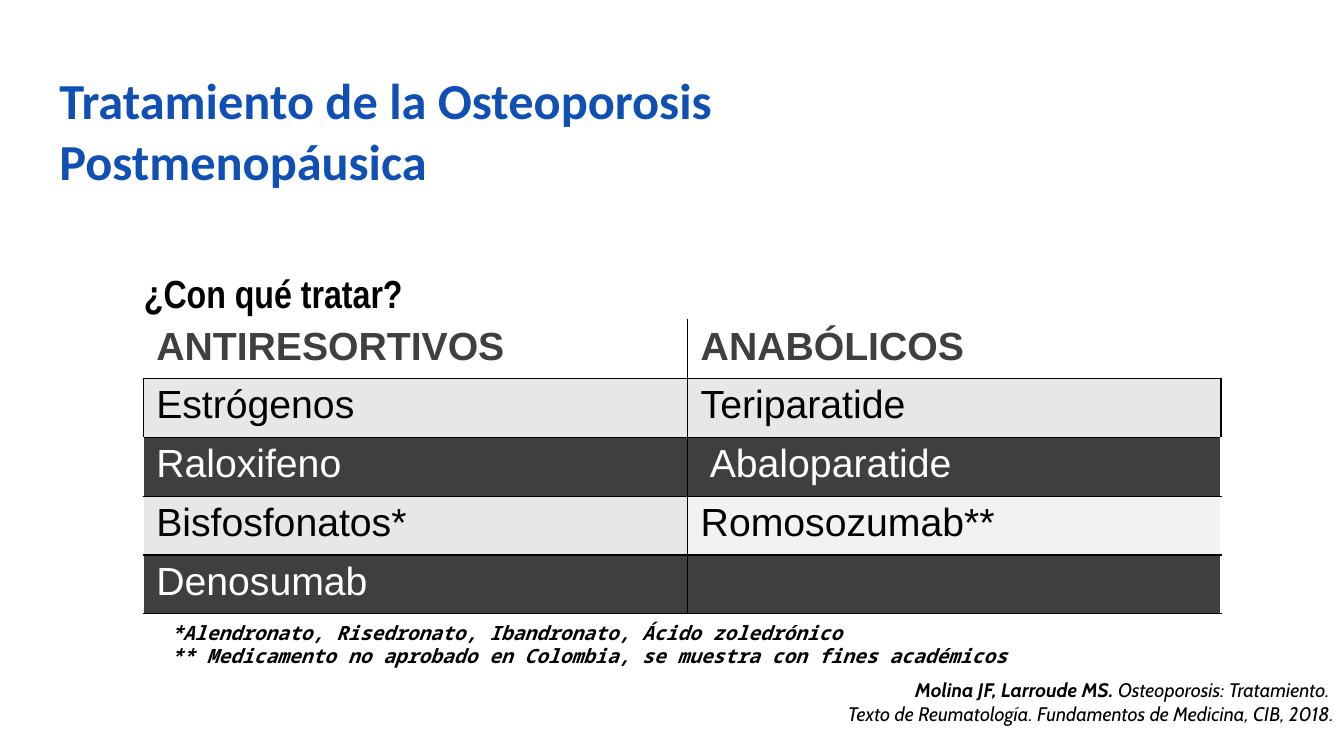
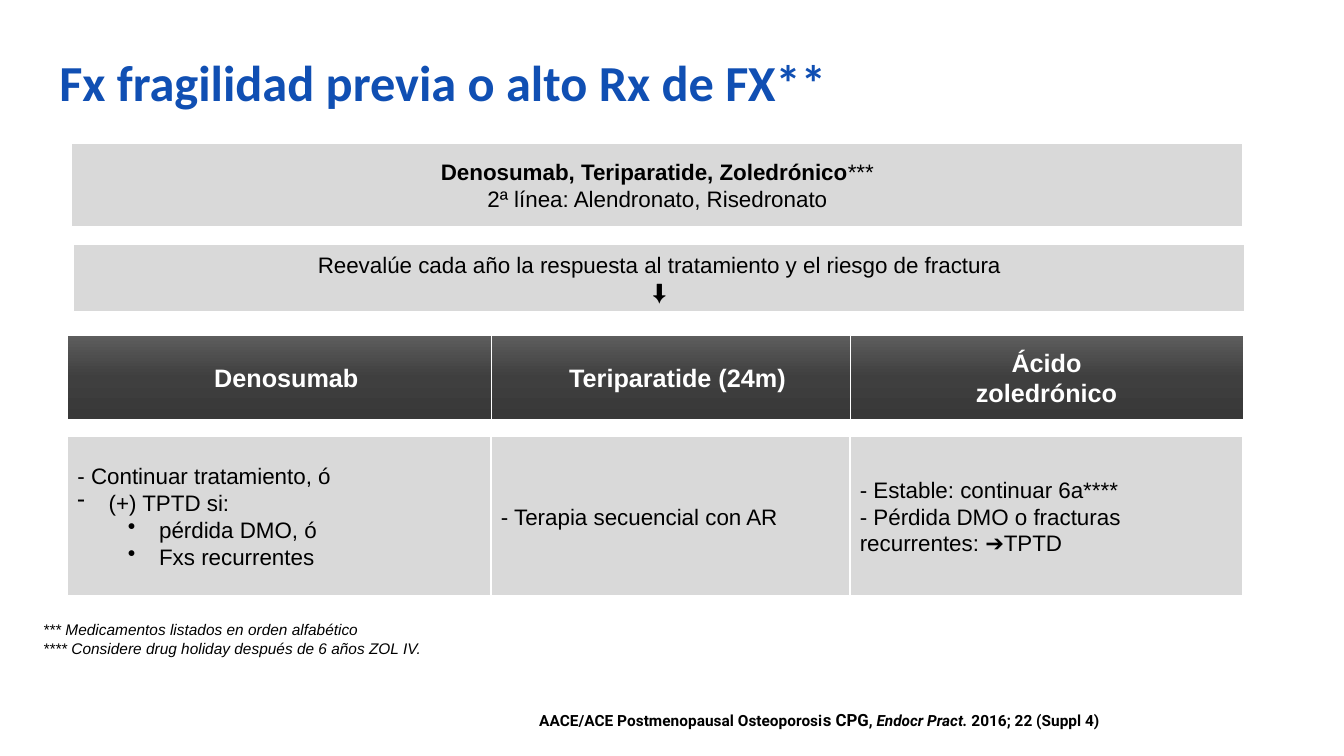
from dataclasses import dataclass, replace
from lxml import etree
from pptx import Presentation
from pptx.dml.color import RGBColor
from pptx.enum.shapes import MSO_SHAPE
from pptx.enum.text import MSO_ANCHOR, PP_ALIGN
from pptx.oxml.ns import qn
from pptx.util import Inches, Pt

RECT = MSO_SHAPE.RECTANGLE
TOP, MIDDLE = MSO_ANCHOR.TOP, MSO_ANCHOR.MIDDLE
LEFT, CENTER, RIGHT = PP_ALIGN.LEFT, PP_ALIGN.CENTER, PP_ALIGN.RIGHT


@dataclass(frozen=True)
class Face:
    font: str
    size: int
    color: str = "000000"
    bold: bool = False
    italic: bool = False


@dataclass(frozen=True)
class Theme:
    black: str = "000000"
    white: str = "FFFFFF"
    dark: str = "3F3F3F"
    light: str = "E7E7E7"
    pale: str = "F2F2F2"
    panel: str = "D9D9D9"
    shade: tuple = ((0, "5D5D5D"), (50, "3F3F3F"), (100, "383838"))
    title: Face = Face("Calibri", 36, "104FB3", bold=True)
    lead: Face = Face("Arial Narrow", 28, bold=True)
    cell: Face = Face("Arial", 28)
    head: Face = Face("Arial", 18, "FFFFFF", bold=True)
    body: Face = Face("Arial", 16)
    mono: Face = Face("Noto Sans Mono", 14, bold=True, italic=True)
    note: Face = Face("Arial", 11, italic=True)
    cite: Face = Face("Cabin", 14, italic=True)
    source: Face = Face("Roboto", 11, bold=True)


THEME = Theme()


def rgb(code):
    return RGBColor.from_string(code)


def style(run, face):
    font = run.font
    font.name, font.size = face.font, Pt(face.size)
    font.bold, font.italic = face.bold, face.italic
    font.color.rgb = rgb(face.color)


def write(frame, lines, face, align=LEFT):
    """Fill a frame; a line is a string or a list of (text, changes to the face)."""
    for i, line in enumerate(lines):
        para = frame.paragraphs[0] if i == 0 else frame.add_paragraph()
        para.alignment = align
        if isinstance(line, str):
            para.text = line
            for run in para.runs:
                style(run, face)
            continue
        for text, change in line:
            run = para.add_run()
            run.text = text
            style(run, replace(face, **change))


def label(slide, box, lines, face, align=LEFT, anchor=TOP):
    frame = slide.shapes.add_textbox(*map(Inches, box)).text_frame
    frame.word_wrap = True
    frame.vertical_anchor = anchor
    write(frame, lines, face, align)


def panel(slide, box, lines, face, align=CENTER, line=1):
    shape = slide.shapes.add_shape(RECT, *map(Inches, box))
    shape.shadow.inherit = False
    shape.fill.solid()
    shape.fill.fore_color.rgb = rgb(THEME.panel)
    shape.line.color.rgb = rgb(THEME.white)
    shape.line.width = Pt(line)
    frame = shape.text_frame
    frame.word_wrap = True
    frame.vertical_anchor = MIDDLE
    write(frame, lines, face, align)
    return shape


def blend(shape, stops):
    """Shade a shape from top to bottom."""
    shape.fill.gradient()
    shape.fill.gradient_angle = 270
    group = shape._element.spPr.find(qn("a:gradFill")).find(qn("a:gsLst"))
    for old in list(group):
        group.remove(old)
    for place, code in stops:
        stop = etree.SubElement(group, qn("a:gs"), pos=str(place * 1000))
        etree.SubElement(stop, qn("a:srgbClr"), val=code)


def bullet(para, mark, indent):
    hang = Inches(0.31)
    props = para._p.get_or_add_pPr()
    props.set("marL", str(Inches(indent)))
    props.set("indent", str(-hang))
    etree.SubElement(props, qn("a:buChar"), char=mark)


def border(cell, colors):
    """Draw the left, right, top and bottom edges of a cell."""
    props = cell._tc.get_or_add_tcPr()
    for i, (side, code) in enumerate(zip("LRTB", colors)):
        edge = etree.Element(qn("a:ln" + side), w=str(Pt(1)))
        fill = etree.SubElement(edge, qn("a:solidFill"))
        etree.SubElement(fill, qn("a:srgbClr"), val=code)
        props.insert(i, edge)


def title(slide, top, lines):
    label(slide, (0.49, top, 10.04, 1.4), lines, THEME.title)


def grid(slide, box, widths, rows):
    table = slide.shapes.add_table(len(rows), len(widths), *map(Inches, box)).table
    for col, width in zip(table.columns, widths):
        col.width = Inches(width)
    last = len(widths) - 1
    for r, row in enumerate(rows):
        outer = THEME.black if r == 1 else THEME.white
        upper = THEME.black if r else THEME.white
        back = THEME.white if r == 0 else THEME.light if r % 2 else THEME.dark
        ink = THEME.dark if r == 0 else THEME.black if r % 2 else THEME.white
        for c, text in enumerate(row):
            cell = table.cell(r, c)
            cell.margin_left = cell.margin_right = Inches(0.13)
            cell.fill.solid()
            cell.fill.fore_color.rgb = rgb(back)
            write(cell.text_frame, [text], replace(THEME.cell, color=ink, bold=r == 0))
            border(cell, (THEME.black if c else outer,
                          outer if c == last else THEME.black,
                          upper, THEME.black))
    return table


def columns(slide, left, top, parts):
    """Place the shaded heads and, below them, the advice for each drug."""
    lefts, widths = (0, 4.2, 7.76), (4.34, 3.7, 3.9)
    bodies = []
    for x, width, (head, lines) in zip(lefts, widths, parts):
        shape = panel(slide, (left + x, top, width, 0.83), head, THEME.head, line=0.5)
        blend(shape, THEME.shade)
        bodies.append(panel(slide, (left + x, top + 1, width, 1.58), lines,
                            THEME.body, LEFT))
    return bodies


def options(slide):
    title(slide, 0.64, ["Tratamiento de la Osteoporosis", "Postmenopáusica"])
    label(slide, (1.33, 2.62, 4, 0.55), ["¿Con qué tratar?"], THEME.lead)
    table = grid(slide, (1.42, 3.17, 10.69, 2.92), (5.4, 5.29), [
        ("ANTIRESORTIVOS", "ANABÓLICOS"),
        ("Estrógenos", "Teriparatide"),
        ("Raloxifeno", "Abaloparatide"),
        ("Bisfosfonatos*", "Romosozumab**"),
        ("Denosumab", ""),
    ])
    table.cell(2, 1).margin_left = Inches(0.22)
    table.cell(3, 1).fill.fore_color.rgb = rgb(THEME.pale)
    label(slide, (1.6, 6.1, 10.5, 0.58), [
        "*Alendronato, Risedronato, Ibandronato, Ácido zoledrónico",
        "** Medicamento no aprobado en Colombia, se muestra con fines académicos",
    ], THEME.mono, anchor=MIDDLE)
    label(slide, (2.44, 6.68, 10.89, 0.57), [
        [("Molina JF, Larroude MS. ", {"bold": True}),
         ("Osteoporosis: Tratamiento. ", {})],
        "Texto de Reumatología. Fundamentos de Medicina, CIB, 2018.",
    ], THEME.cite, RIGHT)


def pathway(slide):
    title(slide, 0.46, ["Fx fragilidad previa o alto Rx de FX**"])
    panel(slide, (0.71, 1.42, 11.62, 0.83), [
        [("Denosumab, Teriparatide, Zoledrónico", {"bold": True}), ("***", {})],
        "2ª línea: Alendronato, Risedronato",
    ], THEME.body)
    panel(slide, (0.73, 2.42, 11.62, 0.67), [
        "Reevalúe cada año la respuesta al tratamiento y el riesgo de fractura", "⬇",
    ], THEME.body)
    bodies = columns(slide, 0.67, 3.33, [
        (["Denosumab"], ["- Continuar tratamiento, ó", "(+) TPTD si:",
                         "pérdida DMO, ó", "Fxs recurrentes"]),
        (["Teriparatide (24m)"], ["- Terapia secuencial con AR"]),
        (["Ácido", "zoledrónico"], ["- Estable: continuar 6a****",
                                    "- Pérdida DMO o fracturas recurrentes: ➔TPTD"]),
    ])
    marks = (("-", 0.31), ("•", 0.81), ("•", 0.81))
    for para, mark in zip(bodies[0].text_frame.paragraphs[1:], marks):
        bullet(para, *mark)
    label(slide, (0.33, 6.09, 8, 0.5), [
        "*** Medicamentos listados en orden alfabético",
        "**** Considere drug holiday después de 6 años ZOL IV.",
    ], THEME.note, anchor=MIDDLE)
    label(slide, (5.25, 6.99, 8, 0.3), [
        [("AACE/ACE Postmenopausal Osteoporosi", {}), ("s CPG", {"size": 12}),
         (", ", {}), ("Endocr Pract. ", {"italic": True}),
         ("2016; 22 (Suppl 4)", {})],
    ], THEME.source)


def main():
    deck = Presentation()
    deck.slide_width, deck.slide_height = Inches(13.33), Inches(7.5)
    for build in (options, pathway):
        build(deck.slides.add_slide(deck.slide_layouts[6]))
    deck.save("out.pptx")


if __name__ == "__main__":
    main()
